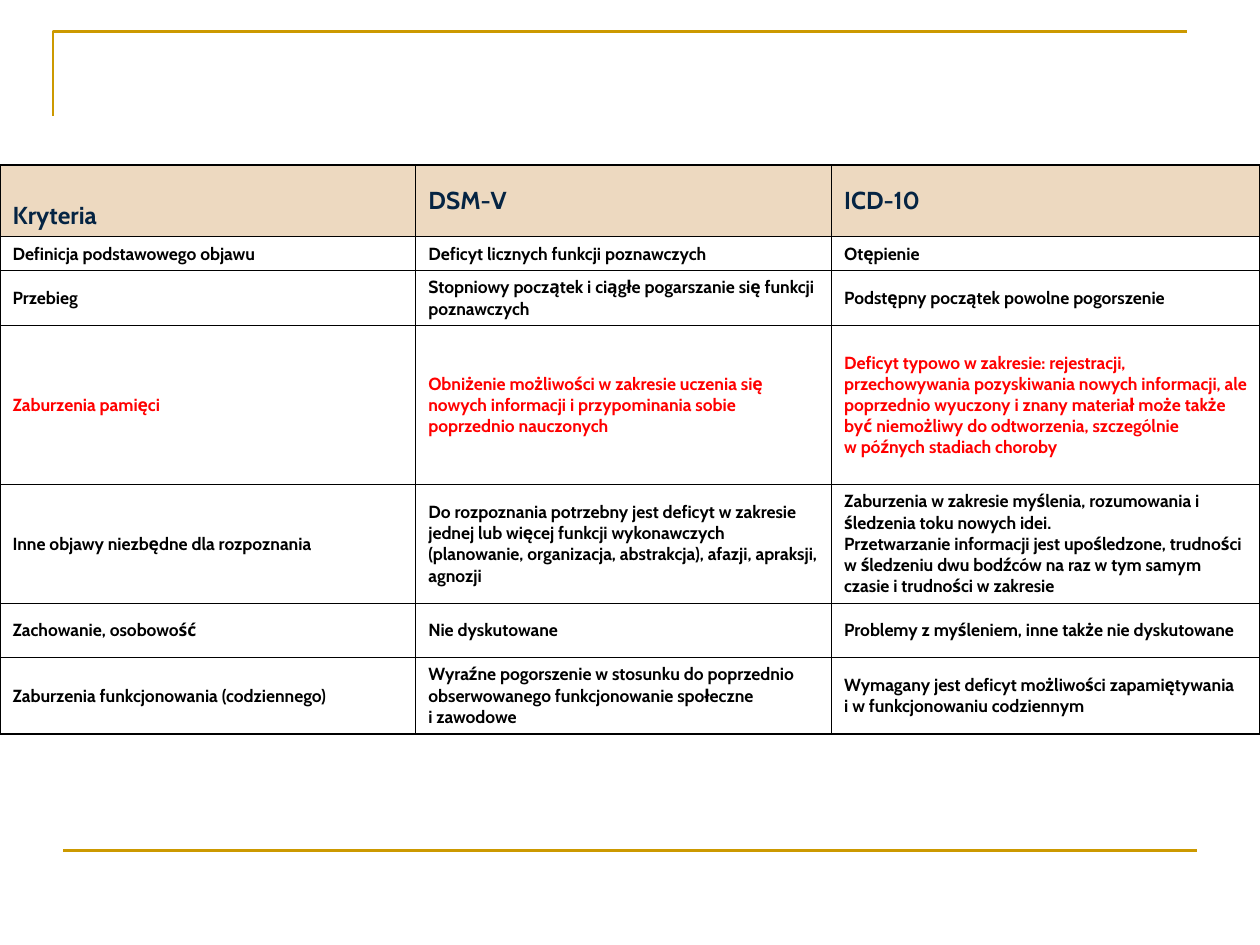
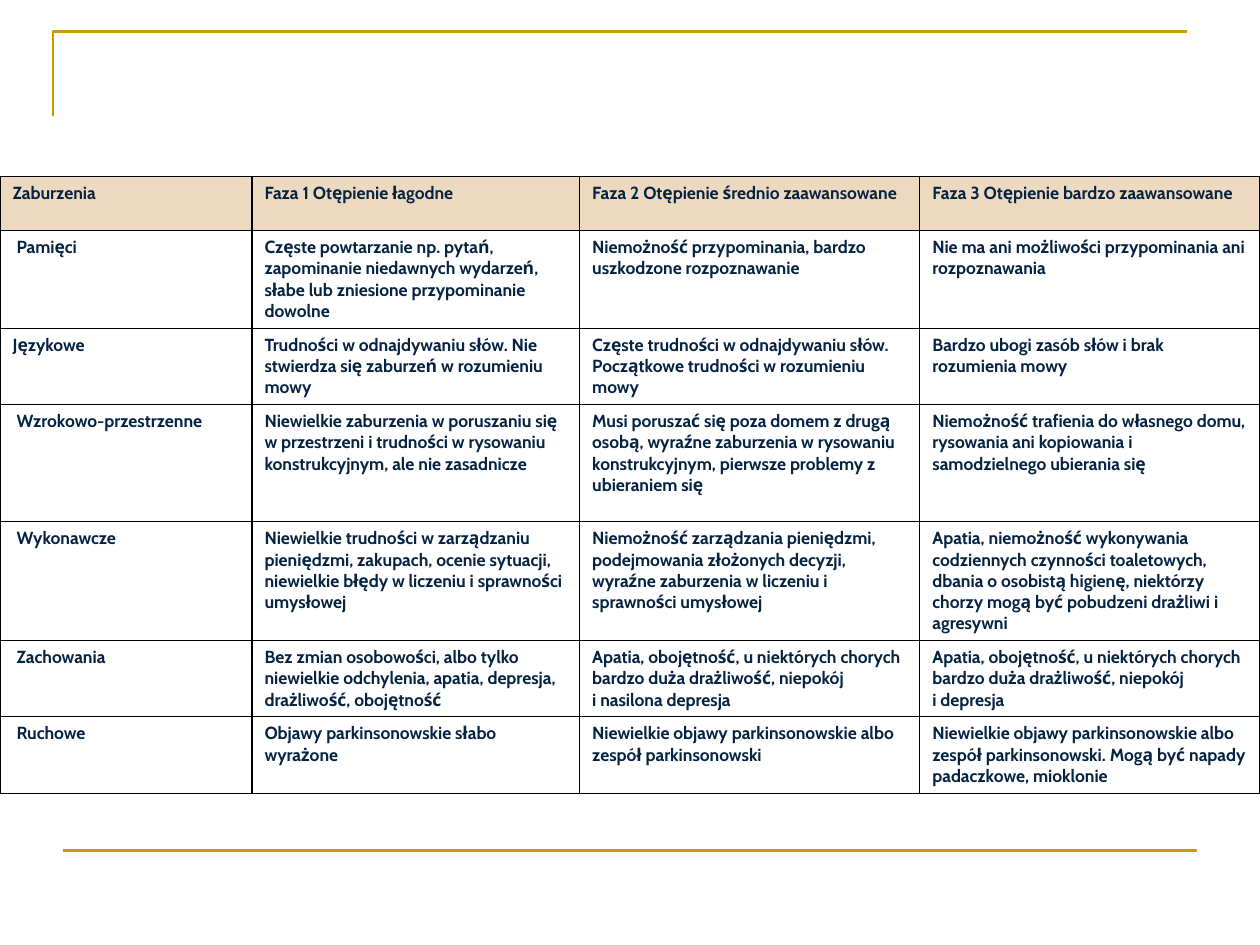
"""Builds two slides with tables on the diagnosis and the phases of dementia."""
import pptx
import pptx.dml.color
import pptx.enum.shapes
import pptx.enum.text
import pptx.oxml
import pptx.oxml.ns
import pptx.util

COLORS = {"gold": "CC9900", "sand": "EDD9C0", "navy": "052443",
          "black": "000000", "red": "FF0000"}
FONT = "Cabin"
COLUMNS, ROWS = 100, 75
TIE, NO_BREAK_SPACE = "~", chr(160)
ANCHOR = pptx.enum.text.MSO_ANCHOR

CRITERIA = [
    ("Kryteria", "DSM-V", "ICD-10"),
    ("Definicja podstawowego objawu", "Deficyt licznych funkcji poznawczych", "Otępienie"),
    ("Przebieg",
     "Stopniowy początek i ciągłe pogarszanie się funkcji poznawczych",
     "Podstępny początek powolne pogorszenie"),
    ("Zaburzenia pamięci",
     "Obniżenie możliwości w zakresie uczenia się nowych informacji i przypominania "
     "sobie poprzednio nauczonych",
     "Deficyt typowo w zakresie: rejestracji, przechowywania pozyskiwania nowych "
     "informacji, ale poprzednio wyuczony i znany materiał może także być niemożliwy "
     "do odtworzenia, szczególnie w~późnych stadiach choroby"),
    ("Inne objawy niezbędne dla rozpoznania",
     "Do rozpoznania potrzebny jest deficyt w zakresie jednej lub więcej funkcji "
     "wykonawczych (planowanie, organizacja, abstrakcja), afazji, apraksji, agnozji",
     "Zaburzenia w zakresie myślenia, rozumowania i śledzenia toku nowych idei.\v"
     "Przetwarzanie informacji jest upośledzone, trudności w śledzeniu dwu bodźców "
     "na raz w tym samym czasie i trudności w zakresie"),
    ("Zachowanie, osobowość", "Nie dyskutowane",
     "Problemy z myśleniem, inne także nie dyskutowane"),
    ("Zaburzenia funkcjonowania (codziennego)",
     "Wyraźne pogorszenie w stosunku do poprzednio obserwowanego funkcjonowanie "
     "społeczne i~zawodowe",
     "Wymagany jest deficyt możliwości zapamiętywania i~w funkcjonowaniu codziennym"),
]

PHASES = [
    ("Zaburzenia", "Faza 1 Otępienie łagodne", "Faza 2 Otępienie średnio zaawansowane",
     "Faza 3 Otępienie bardzo zaawansowane"),
    ("~Pamięci",
     "Częste powtarzanie np. pytań, zapominanie niedawnych wydarzeń, słabe lub "
     "zniesione przypominanie dowolne",
     "Niemożność przypominania, bardzo uszkodzone rozpoznawanie",
     "Nie ma ani możliwości przypominania ani rozpoznawania"),
    ("Językowe",
     "Trudności w odnajdywaniu słów. Nie stwierdza się zaburzeń w rozumieniu mowy",
     "Częste trudności w odnajdywaniu słów. Początkowe trudności w rozumieniu mowy",
     "Bardzo ubogi zasób słów i brak rozumienia mowy"),
    ("~Wzrokowo-przestrzenne",
     "Niewielkie zaburzenia w poruszaniu się w przestrzeni i trudności w rysowaniu "
     "konstrukcyjnym, ale nie zasadnicze",
     "Musi poruszać się poza domem z drugą osobą, wyraźne zaburzenia w rysowaniu "
     "konstrukcyjnym, pierwsze problemy z ubieraniem się",
     "Niemożność trafienia do własnego domu, rysowania ani kopiowania i "
     "samodzielnego ubierania się"),
    ("~Wykonawcze",
     "Niewielkie trudności w zarządzaniu pieniędzmi, zakupach, ocenie sytuacji, "
     "niewielkie błędy w liczeniu i sprawności umysłowej",
     "Niemożność zarządzania pieniędzmi, podejmowania złożonych decyzji, wyraźne "
     "zaburzenia w liczeniu i sprawności umysłowej",
     "Apatia, niemożność wykonywania codziennych czynności toaletowych, dbania o "
     "osobistą higienę, niektórzy chorzy mogą być pobudzeni drażliwi i agresywni"),
    ("~Zachowania",
     "Bez zmian osobowości, albo tylko niewielkie odchylenia, apatia, depresja, "
     "drażliwość, obojętność",
     "Apatia, obojętność, u~niektórych chorych bardzo duża drażliwość, niepokój "
     "i~nasilona depresja",
     "Apatia, obojętność, u~niektórych chorych bardzo duża drażliwość, niepokój "
     "i~depresja"),
    ("~Ruchowe", "Objawy parkinsonowskie słabo wyrażone",
     "Niewielkie objawy parkinsonowskie albo zespół parkinsonowski",
     "Niewielkie objawy parkinsonowskie albo zespół parkinsonowski. Mogą być napady "
     "padaczkowe, mioklonie"),
]


def color(name):
    """Return a palette colour."""
    return pptx.dml.color.RGBColor.from_string(COLORS[name])


class SlideBuilder:
    """Holds the deck, its grid and the current slide."""

    def __init__(self):
        """Start an empty deck."""
        self.deck = pptx.Presentation()
        self.deck.slide_width = pptx.util.Inches(10)
        self.deck.slide_height = pptx.util.Inches(7.5)
        self.page = None

    def across(self, columns):
        """Turn grid columns into a length."""
        return round(self.deck.slide_width * columns / COLUMNS)

    def down(self, rows):
        """Turn grid rows into a length."""
        return round(self.deck.slide_height * rows / ROWS)

    def point(self, column, row):
        """Turn a grid position into slide coordinates."""
        return self.across(column), self.down(row)

    def add_page(self):
        """Add a slide with the shared corner and bottom rule."""
        self.page = self.deck.slides.add_slide(self.deck.slide_layouts[6])
        self.corner((4.2, 9.2), (4.2, 2.5), (94.2, 2.5))
        self.rule((5, 67.5), (95, 67.5))

    def gold_line(self, line):
        """Apply the shared line style."""
        line.color.rgb = color("gold")
        line.width = pptx.util.Pt(1.5)

    def corner(self, start, *others):
        """Draw an open outline through grid positions."""
        outline = self.page.shapes.build_freeform(*self.point(*start))
        outline.add_line_segments([self.point(*other) for other in others], close=False)
        shape = outline.convert_to_shape()
        shape.shadow.inherit = False
        shape.fill.background()
        self.gold_line(shape.line)

    def rule(self, start, end):
        """Draw a straight line between grid positions."""
        straight = pptx.enum.shapes.MSO_CONNECTOR.STRAIGHT
        line = self.page.shapes.add_connector(straight, *self.point(*start), *self.point(*end))
        properties = line._element.spPr
        self.gold_line(line.line)
        properties.append(pptx.oxml.parse_xml(
            f'<a:effectLst {pptx.oxml.ns.nsdecls("a")}/>'))

    def borders(self, cell):
        """Give a cell thin black borders."""
        properties = cell._tc.get_or_add_tcPr()
        for side in "LRTB":
            properties.append(pptx.oxml.parse_xml(
                f'<a:ln{side} {pptx.oxml.ns.nsdecls("a")} w="{pptx.util.Pt(0.75)}">'
                f'<a:solidFill><a:srgbClr val="{COLORS["black"]}"/></a:solidFill>'
                f'</a:ln{side}>'))

    def cell(self, cell, text, size, ink, anchor, fill):
        """Fill and style one table cell."""
        self.borders(cell)
        if fill:
            cell.fill.solid()
            cell.fill.fore_color.rgb = color(fill)
        else:
            cell.fill.background()
        cell.vertical_anchor = anchor
        cell.text = text.replace(TIE, NO_BREAK_SPACE)
        for para in cell.text_frame.paragraphs:
            para.font.name = FONT
            para.font.size = pptx.util.Pt(size)
            para.font.bold = True
            para.font.color.rgb = color(ink)

    def table(self, top, widths, heights, content, header_size=10,
              ink="navy", anchor=ANCHOR.TOP, red_row=None):
        """Add a full-width table and return it."""
        table = self.page.shapes.add_table(
            len(heights), len(widths), 0, self.down(top),
            self.across(sum(widths)), self.down(sum(heights))).table
        table.first_row = table.horz_banding = False
        for column, width in zip(table.columns, widths):
            column.width = self.across(width)
        for index, (row, height, texts) in enumerate(zip(table.rows, heights, content)):
            row.height = self.down(height)
            header = index == 0
            row_ink = "navy" if header else "red" if index == red_row else ink
            for cell, text in zip(row.cells, texts):
                self.cell(cell, text, header_size if header else 10, row_ink,
                          anchor, "sand" if header else None)
        return table


def main():
    """Build and save the deck."""
    builder = SlideBuilder()
    builder.add_page()
    criteria = builder.table(13.1, (33, 33, 34), (5.7, 2.7, 4.3, 12.6, 9.3, 4.3, 6),
                             CRITERIA, header_size=14, ink="black",
                             anchor=ANCHOR.MIDDLE, red_row=3)
    criteria.cell(0, 0).vertical_anchor = ANCHOR.BOTTOM
    builder.add_page()
    builder.table(14, (20, 26, 27, 27), (4.3, 7.7, 6, 9.3, 9.3, 6, 6), PHASES)
    builder.deck.save("out.pptx")


if __name__ == "__main__":
    main()
